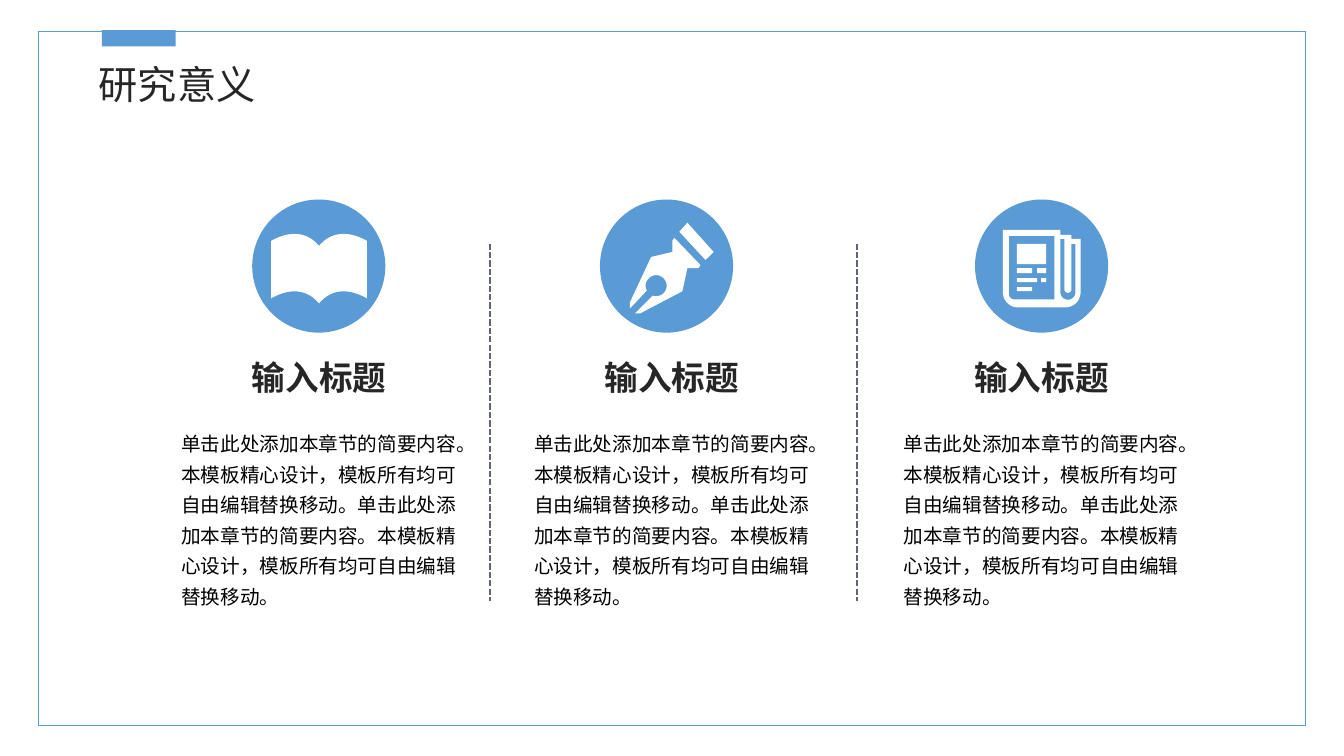
from dataclasses import dataclass
from math import cos, radians, sin

from lxml.etree import SubElement
from pptx import Presentation
from pptx.dml.color import RGBColor
from pptx.enum.dml import MSO_LINE
from pptx.enum.shapes import MSO_CONNECTOR as Connector, MSO_SHAPE as Shape
from pptx.enum.text import MSO_ANCHOR as Anchor, MSO_AUTO_SIZE as AutoSize, PP_ALIGN as Align
from pptx.oxml.ns import qn
from pptx.util import Emu, Inches, Pt

COLUMNS, ROWS = 160, 90
TICKS = 10  # outline ticks in a hundredth of an inch


@dataclass(frozen=True)
class Theme:
    font: str = "Noto Sans CJK SC"
    accent: str = "5B9BD5"
    heading: str = "262626"
    body: str = "000000"
    divider: str = "606479"
    icon: str = "FFFFFF"
    title_size: int = 28
    caption_size: int = 24
    body_size: int = 14


def arc(center_x, center_y, radius, start, end, steps=24):
    """Points along a circle, angles in degrees, clockwise from the right."""
    angles = [radians(start + (end - start) * i / steps) for i in range(steps + 1)]
    return [(center_x + radius * cos(a), center_y + radius * sin(a)) for a in angles]


def bezier(p0, p1, p2, p3, steps=24):
    def at(t, axis):
        s = 1 - t
        return (s**3 * p0[axis] + 3 * s * s * t * p1[axis]
                + 3 * s * t * t * p2[axis] + t**3 * p3[axis])
    return [(at(i / steps, 0), at(i / steps, 1)) for i in range(steps + 1)]


def block(left, top, right, bottom):
    return [(left, top), (right, top), (right, bottom), (left, bottom)]


def book_outline():
    half = bezier((0, 7), (16, -2), (34, -4), (47.5, 12))
    edge = half + [(95 - x, y) for x, y in reversed(half)]
    return [edge + [(x, y + 57) for x, y in reversed(edge)]]


def pen_outline():
    barrel = [(75, 37), (49, 9), (57, 0), (83, 29)]
    nib = [(68, 45), (57, 45), (52, 68), (10, 90), (5, 90), (22, 73),
           *arc(26, 62.5, 10.5, 110, -208),
           (0, 85), (0, 79), (21, 34), (42, 29), (42, 18), (44, 15), (70, 42)]
    return [barrel, nib]


def newspaper_outline():
    sheet = [(0, 0), (57, 0), (57, 5), (68, 5), (68, 9), (77, 9),
             *arc(62, 62, 15, 0, 90), *arc(15, 62, 15, 90, 180)]
    front = [(51, 6), (6, 6), *arc(11, 64, 5, 180, 90), (51, 69)]
    fold = [(72, 14), (68, 14), *arc(64.5, 59, 3.5, 0, 180), (61, 9), (57, 9),
            *arc(64.5, 62, 7.5, 180, 0)]
    print_blocks = [(14, 14, 43, 34), (14, 38, 29, 43), (34, 38, 43, 43),
                    (14, 48, 34, 52), (38, 48, 43, 52), (14, 57, 29, 61)]
    return [sheet, front, fold, *(block(*edges) for edges in print_blocks)]


class SlideBuilder:
    """Draws on one slide; lengths are columns and rows of its grid."""

    def __init__(self, deck, theme):
        self.theme = theme
        self.page = deck.slides.add_slide(deck.slide_layouts[5])
        self.column = deck.slide_width / COLUMNS
        self.row = deck.slide_height / ROWS

    def x(self, columns):
        return Emu(round(columns * self.column))

    def y(self, rows):
        return Emu(round(rows * self.row))

    def area(self, left, top, width, height):
        return self.x(left), self.y(top), self.x(width), self.y(height)

    def paint(self, shape, fill=None, line=None):
        shape.shadow.inherit = False
        if fill:
            shape.fill.solid()
            shape.fill.fore_color.rgb = RGBColor.from_string(fill)
        else:
            shape.fill.background()
        if line:
            shape.line.color.rgb = RGBColor.from_string(line)
            shape.line.width = Pt(1)
        else:
            shape.line.fill.background()

    def shape(self, kind, area, **colors):
        self.paint(self.page.shapes.add_shape(kind, *self.area(*area)), **colors)

    def fill_text(self, frame, text, *, size, color, bold=False, align=Align.LEFT, spacing=1.0):
        frame.word_wrap = True
        frame.auto_size = AutoSize.NONE
        frame.vertical_anchor = Anchor.TOP
        para = frame.paragraphs[0]
        para.alignment, para.line_spacing = align, spacing
        span = para.add_run()
        span.text = text
        span.font.name, span.font.size, span.font.bold = self.theme.font, Pt(size), bold
        span.font.color.rgb = RGBColor.from_string(color)
        properties = span._r.get_or_add_rPr()
        SubElement(properties, qn("a:ea")).set("typeface", self.theme.font)

    def title(self, text, area):
        box = self.page.shapes.title
        box.left, box.top, box.width, box.height = self.area(*area)
        frame = box.text_frame
        frame.margin_left, frame.margin_right = 0, Inches(0.1)
        frame.margin_top = frame.margin_bottom = Inches(0.05)
        self.fill_text(frame, text, size=self.theme.title_size,
                       color=self.theme.heading, align=Align.JUSTIFY)

    def text(self, text, area, **style):
        box = self.page.shapes.add_textbox(*self.area(*area))
        self.fill_text(box.text_frame, text, **style)

    def icon(self, contours, left, top):
        """Draw contours given in hundredths of an inch; inner ones are holes."""
        first, *others = [[(x * TICKS, y * TICKS) for x, y in c] for c in contours]
        builder = self.page.shapes.build_freeform(*first[0], scale=Inches(0.01) / TICKS)
        builder.add_line_segments(first[1:], close=True)
        for contour in others:
            builder.move_to(*contour[0])
            builder.add_line_segments(contour[1:], close=True)
        self.paint(builder.convert_to_shape(self.x(left), self.y(top)), fill=self.theme.icon)

    def divider(self, column, top, bottom):
        line = self.page.shapes.add_connector(
            Connector.STRAIGHT, self.x(column), self.y(top), self.x(column), self.y(bottom))
        line.line.color.rgb = RGBColor.from_string(self.theme.divider)
        line.line.width = Pt(1.5)
        line.line.dash_style = MSO_LINE.SQUARE_DOT
        SubElement(line._element.spPr, qn("a:effectLst"))


def main():
    deck = Presentation()
    deck.slide_width, deck.slide_height = Inches(40 / 3), Inches(7.5)
    theme = Theme()
    builder = SlideBuilder(deck, theme)

    builder.shape(Shape.RECTANGLE, (4.56, 3.72, 150.84, 82.68), line=theme.accent)
    builder.shape(Shape.RECTANGLE, (12.12, 3.6, 8.8, 1.92), fill=theme.accent)
    builder.title("研究意义", (11.76, 6.6, 22.08, 6.84))

    sentences = "单击此处添加本章节的简要内容。本模板精心设计，模板所有均可自由编辑替换移动。"
    disc, caption_width, body_width = 15.85, 23, 35.2
    # text centre, disc centre, icon outline, icon left, icon top
    topics = [(38, 37.95, book_outline(), 32.28, 27.84),
              (80, 79.35, pen_outline(), 75, 26.52),
              (124, 124, newspaper_outline(), 119.4, 27.36)]
    for center, disc_center, outline, icon_left, icon_top in topics:
        builder.shape(Shape.OVAL, (disc_center - disc / 2, 23.75, disc, disc), fill=theme.accent)
        builder.icon(outline, icon_left, icon_top)
        builder.text("输入标题", (center - caption_width / 2, 41.88, caption_width, 6),
                     size=theme.caption_size, color=theme.heading, bold=True, align=Align.CENTER)
        builder.text(sentences * 2, (center - body_width / 2, 50, body_width, 22.9),
                     size=theme.body_size, color=theme.body, spacing=1.3)

    for column in (58.3, 102):
        builder.divider(column, 29, 71.5)

    deck.save("out.pptx")


if __name__ == "__main__":
    main()
